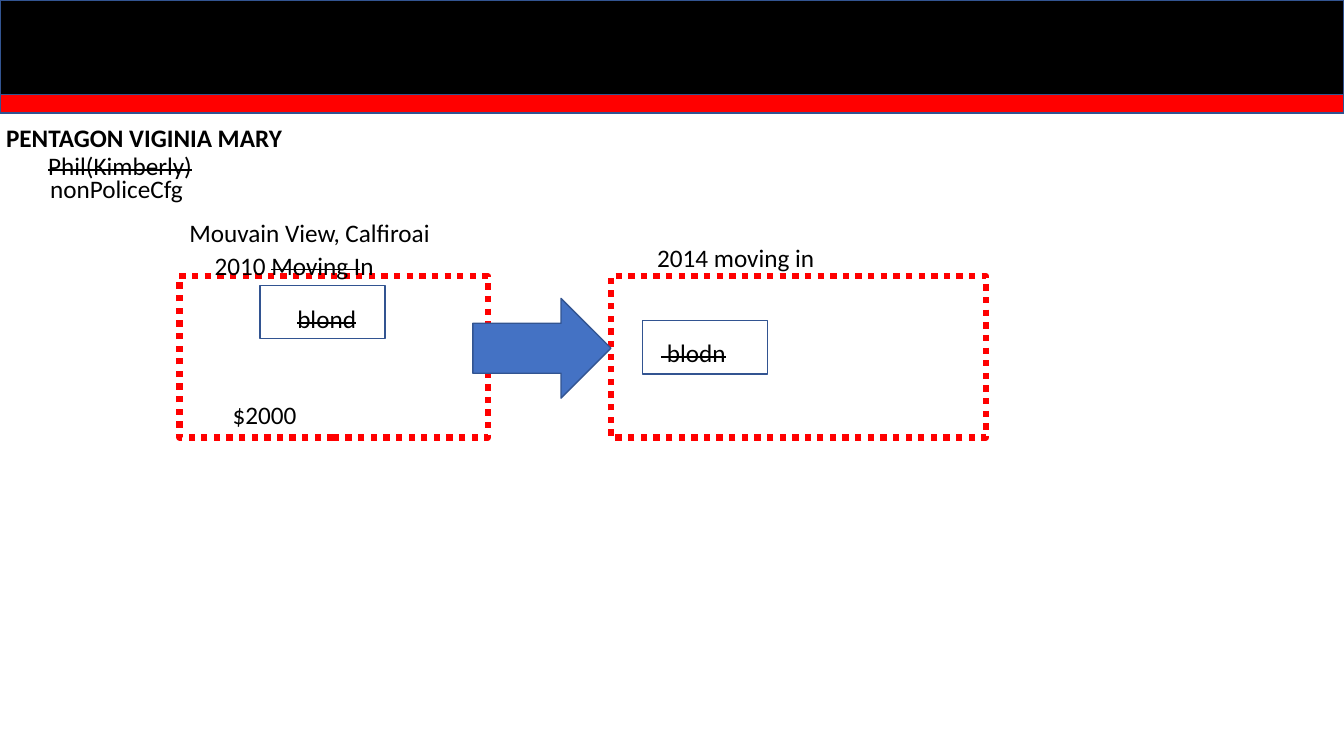
import pptx
import pptx.dml.color
import pptx.enum.dml
import pptx.enum.shapes
import pptx.enum.text
import pptx.util

Inches = pptx.util.Inches
SHAPES = pptx.enum.shapes.MSO_SHAPE
BLACK, RED, BLUE, NAVY = "000000", "FF0000", "4472C4", "325491"


def color(value):
    """Turn a hex string into a colour."""
    return pptx.dml.color.RGBColor.from_string(value)


def add_shape(slide, kind, left, top, width, height, fill=None, line=NAVY, weight=1, dash=None):
    """Add a preset shape with an optional fill and dash."""
    shape = slide.shapes.add_shape(kind, Inches(left), Inches(top), Inches(width), Inches(height))
    shape.shadow.inherit = False
    if fill:
        shape.fill.solid()
        shape.fill.fore_color.rgb = color(fill)
    else:
        shape.fill.background()
    shape.line.color.rgb = color(line)
    shape.line.width = pptx.util.Pt(weight)
    if dash:
        shape.line.dash_style = dash
    return shape


def write_text(box, runs, bold=False):
    """Fill a box with one line of (text, struck) runs."""
    frame = box.text_frame
    frame.word_wrap = False
    frame.auto_size = pptx.enum.text.MSO_AUTO_SIZE.SHAPE_TO_FIT_TEXT
    frame.vertical_anchor = pptx.enum.text.MSO_ANCHOR.TOP
    para = frame.paragraphs[0]
    para.alignment = pptx.enum.text.PP_ALIGN.LEFT
    for text, struck in runs:
        span = para.add_run()
        span.text = text
        span.font.name = "Calibri"
        span.font.size = pptx.util.Pt(18)
        span.font.bold = bold
        span.font.color.rgb = color(BLACK)
        if struck:
            span._r.get_or_add_rPr().set("strike", "sngStrike")


def add_title(slide, left, top, width, text):
    """Place and format the title placeholder."""
    title = slide.shapes.title
    title.left, title.top = Inches(left), Inches(top)
    title.width, title.height = Inches(width), Inches(0.4)
    write_text(title, [(text, False)], bold=True)


def add_label(slide, left, top, width, *runs):
    """Add a one-line text box."""
    box = slide.shapes.add_textbox(Inches(left), Inches(top), Inches(width), Inches(0.4))
    write_text(box, runs)


def main():
    """Build the slide and save the deck."""
    deck = pptx.Presentation()
    deck.slide_width, deck.slide_height = Inches(13.33), Inches(7.5)
    slide = deck.slides.add_slide(deck.slide_layouts[5])

    add_shape(slide, SHAPES.RECTANGLE, 0, 0, 13.33, 0.94, BLACK)
    add_shape(slide, SHAPES.RECTANGLE, 0, 0.94, 13.33, 0.18, RED)
    add_title(slide, -0.04, 1.16, 2.97, "PENTAGON VIGINIA MARY")

    for left, top in ((2.58, 2.83), (6.37, 3.18)):
        add_shape(slide, SHAPES.RECTANGLE, left, top, 1.24, 0.53)
    for left, width in ((1.78, 3.06), (6.06, 3.72)):
        add_shape(slide, SHAPES.RECTANGLE, left, 2.74, width, 1.6, line=RED, weight=4.5,
                  dash=pptx.enum.dml.MSO_LINE.ROUND_DOT)
    add_shape(slide, SHAPES.RIGHT_ARROW, 4.69, 2.96, 1.37, 0.99, BLUE)

    add_label(slide, 0.38, 1.44, 1.64, ("Phil(Kimberly)", True))
    add_label(slide, 0.4, 1.67, 1.53, ("nonPoliceCfg", False))
    add_label(slide, 1.78, 2.11, 2.62, ("Mouvain View, Calfiroai", False))
    add_label(slide, 2.03, 2.43, 1.8, ("2010 ", False), ("Moving I", True), ("n", False))
    add_label(slide, 2.85, 2.96, 0.79, ("blond", True))
    add_label(slide, 2.21, 3.91, 0.84, ("$2000", False))
    add_label(slide, 6.42, 2.36, 1.78, ("2014 moving in", False))
    add_label(slide, 6.46, 3.3, 0.85, (" blodn", True))

    deck.save("out.pptx")


if __name__ == "__main__":
    main()
